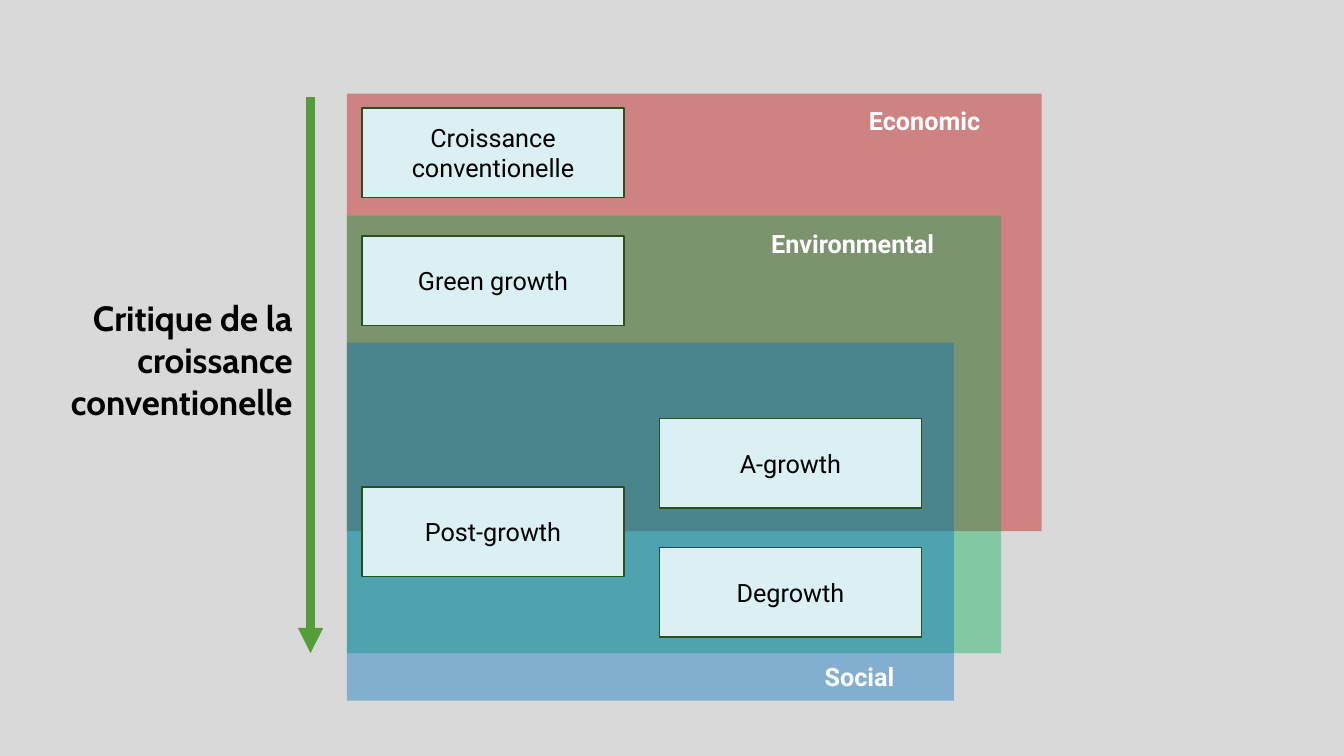
from lxml import etree
from pptx import Presentation
from pptx.dml.color import RGBColor
from pptx.enum.shapes import MSO_CONNECTOR, MSO_SHAPE
from pptx.enum.text import MSO_ANCHOR, PP_ALIGN
from pptx.oxml.ns import qn
from pptx.util import Inches, Pt

RECT = MSO_SHAPE.RECTANGLE
STRAIGHT = MSO_CONNECTOR.STRAIGHT
TOP, MIDDLE = MSO_ANCHOR.TOP, MSO_ANCHOR.MIDDLE
LEFT, CENTER, RIGHT = PP_ALIGN.LEFT, PP_ALIGN.CENTER, PP_ALIGN.RIGHT

COLORS = {
    "background": "D9D9D9", "economic": "C00000", "environmental": "00B050",
    "social": "0070C0", "card": "DBF0F3", "card_line": "2A4F1C",
    "arrow": "549E39", "black": "000000", "white": "FFFFFF",
}
FORMATS = {
    "label": {"name": "Roboto", "size": Pt(18), "bold": True},
    "card": {"name": "Roboto", "size": Pt(18), "bold": False},
    "critique": {"name": "Cabin", "size": Pt(25), "bold": True},
}
CARD_W, CARD_H = 2.6, 0.89


def rgb(name):
    return RGBColor.from_string(COLORS[name])


def write(sp, text, style, color, align=LEFT, anchor=TOP):
    tf = sp.text_frame
    tf.word_wrap = True
    tf.vertical_anchor = anchor
    p = tf.paragraphs[0]
    p.alignment = align
    r = p.add_run()
    r.text = text
    for key, value in FORMATS[style].items():
        setattr(r.font, key, value)
    r.font.color.rgb = rgb(color)


def add_text(s, box, text, style, color, align=LEFT):
    sp = s.shapes.add_textbox(*map(Inches, box))
    write(sp, text, style, color, align)


def add_rect(s, box, fill):
    sp = s.shapes.add_shape(RECT, *map(Inches, box))
    sp.shadow.inherit = False
    sp.fill.solid()
    sp.fill.fore_color.rgb = rgb(fill)
    sp.line.fill.background()
    return sp


def add_layer(s, box, fill):
    sp = add_rect(s, box, fill)
    # 40 % opacity lets the overlapping layers blend
    color = sp._element.spPr.find(qn("a:solidFill"))[0]
    etree.SubElement(color, qn("a:alpha")).set("val", "40000")


def add_card(s, x, y, text):
    sp = add_rect(s, (x, y, CARD_W, CARD_H), "card")
    sp.line.color.rgb = rgb("card_line")
    sp.line.width = Pt(1)
    write(sp, text, "card", "black", CENTER, MIDDLE)


def add_dimensions(s, x, y):
    """Overlapping layers, their labels and the growth concepts."""
    layers = [
        (0, 6.89, 4.34, "economic"),
        (1.21, 6.49, 4.34, "environmental"),
        (2.47, 6.02, 3.55, "social"),
    ]
    for dy, w, h, name in layers:
        add_layer(s, (x, y + dy, w, h), name)

    labels = [
        (5.08, 0.07, 1.46, "Economic"),
        (4.11, 1.29, 2.04, "Environmental"),
        (4.64, 5.58, 1.12, "Social"),
    ]
    for dx, dy, w, text in labels:
        add_text(s, (x + dx, y + dy, w, 0.4), text, "label", "white")

    # Two columns of cards
    columns = {
        0.15: [(0.14, "Croissance conventionelle"), (1.41, "Green growth"),
               (3.9, "Post-growth")],
        3.1: [(3.22, "A-growth"), (4.5, "Degrowth")],
    }
    for dx, cards in columns.items():
        for dy, text in cards:
            add_card(s, x + dx, y + dy, text)


def add_critique(s, x, y, h):
    """Downward arrow with its caption on the left."""
    arrow = s.shapes.add_connector(
        STRAIGHT, Inches(x), Inches(y), Inches(x), Inches(y + h))
    arrow.line.color.rgb = rgb("arrow")
    arrow.line.width = Pt(6)
    ln = arrow._element.spPr.find(qn("a:ln"))
    etree.SubElement(ln, qn("a:tailEnd")).set("type", "triangle")
    etree.SubElement(arrow._element.spPr, qn("a:effectLst"))
    add_text(s, (x - 2.58, y + 1.93, 2.5, 1.36),
             "Critique de la croissance conventionelle", "critique", "black", RIGHT)


def main():
    prs = Presentation()
    prs.slide_width, prs.slide_height = Inches(13.33), Inches(7.5)
    s = prs.slides.add_slide(prs.slide_layouts[6])
    s.background.fill.solid()
    s.background.fill.fore_color.rgb = rgb("background")

    add_dimensions(s, 3.44, 0.93)
    add_critique(s, 3.08, 0.96, 5.52)
    prs.save("out.pptx")


if __name__ == "__main__":
    main()
